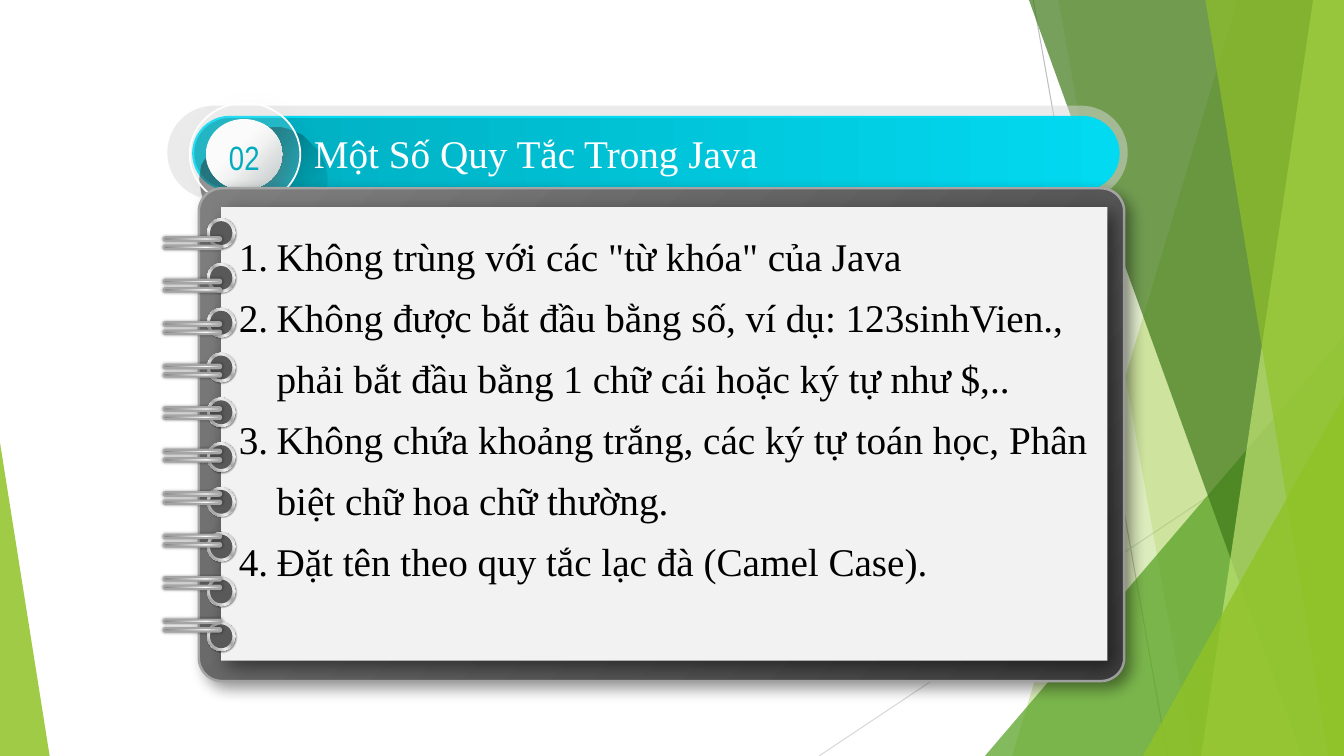
from lxml import etree
from pptx import Presentation
from pptx.dml.color import RGBColor
from pptx.enum import shapes, text
from pptx.oxml.ns import qn
from pptx.util import Pt

C = {
    "white": "FFFFFF", "black": "000000", "lime": "90C226", "green": "54A021",
    "forest": "3F7819", "pale": "C0E474", "teal": "01ACBE", "cyan": "01DAF1",
    "track": "D8D8D8", "paper": "F2F2F2", "hole": "595959", "steel": "A5A5A5",
    "gray": "7F7F7F", "dark": "3F3F3F", "rule": "BFBFBF", "faint": "D9D9D9",
    "pearl": "F7F7F7", "silver": "B8C0C0", "shade": "494949",
}
SERIF = "Times New Roman"
SHAPE = shapes.MSO_SHAPE


def paint(sp, fill, alpha=100, angle=0, line=None, shadow=None):
    """fill: colour name or gradient stops (position, colour, opacity);
    line: (colour, width); shadow: (colour, opacity, blur, distance, direction)."""

    def colour(parent, name, opacity):
        clr = etree.SubElement(parent, qn("a:srgbClr"), val=C[name])
        if opacity < 100:
            etree.SubElement(clr, qn("a:alpha"), val=str(opacity * 1000))

    sp_pr = sp.element.spPr
    if isinstance(fill, str):
        sp.fill.solid()
        sp.fill.fore_color.rgb = RGBColor.from_string(C[fill])
        if alpha < 100:
            clr = sp_pr.find(qn("a:solidFill"))[0]
            etree.SubElement(clr, qn("a:alpha"), val=str(alpha * 1000))
    else:
        sp.fill.gradient()
        grad = sp_pr.find(qn("a:gradFill"))
        grad.set("rotWithShape", "1")
        grad.find(qn("a:lin")).set("ang", str(angle * 60000))
        stops = grad.find(qn("a:gsLst"))
        for old in list(stops):
            stops.remove(old)
        for pos, name, opacity in fill:
            colour(etree.SubElement(stops, qn("a:gs"), pos=str(pos * 1000)), name, opacity)
    if line:
        sp.line.color.rgb = RGBColor.from_string(C[line[0]])
        sp.line.width = Pt(line[1])
    else:
        sp.line.fill.background()
    sp.shadow.inherit = False
    if shadow:
        name, opacity, blur, dist, direction = shadow
        outer = etree.SubElement(
            sp_pr.find(qn("a:effectLst")), qn("a:outerShdw"), blurRad=str(Pt(blur)),
            dist=str(Pt(dist)), dir=str(direction * 60000), rotWithShape="0")
        colour(outer, name, opacity)


def add(kind, x, y, w, h, fill, adj=None, **style):
    sp = s.shapes.add_shape(kind, Pt(x), Pt(y), Pt(w), Pt(h))
    if adj is not None:
        sp.adjustments[0] = adj
    paint(sp, fill, **style)


prs = Presentation()
prs.slide_width, prs.slide_height = Pt(960), Pt(540)
s = prs.slides.add_slide(prs.slide_layouts[5])

# Background lines and green facets
for x1, y1, x2, y2, name in [(738, 0, 834, 540, "rule"), (960, 290, 585, 540, "faint")]:
    ln = s.shapes.add_connector(shapes.MSO_CONNECTOR.STRAIGHT, Pt(x1), Pt(y1), Pt(x2), Pt(y2))
    ln.line.color.rgb = RGBColor.from_string(C[name])
    ln.line.width = Pt(0.75)
    etree.SubElement(ln.element.spPr, qn("a:effectLst"))

# A facet is either (top x, bottom x) up to the right edge, or a triangle's box and apex
facets = [
    ((884, 723), "lime", 30),
    ((756, 852), "lime", 20),
    ((703.5, 240, 256.5, 300, 1), "green", 72),
    ((735, 930), "forest", 70),
    ((938, 858), "pale", 70),
    ((861, 949), "lime", 65),
    ((816.5, 283, 143.5, 257, 1), "lime", 80),
    ((0, 316, 35.5, 224, 0), "lime", 85),
]
for geometry, name, alpha in facets:
    if len(geometry) == 2:
        top, bottom = geometry
        fb = s.shapes.build_freeform(top, 0, scale=Pt(1))
        fb.add_line_segments([(960, 0), (960, 540), (bottom, 540)])
        paint(fb.convert_to_shape(), name, alpha)
    else:
        x, y, w, h, apex = geometry
        add(SHAPE.ISOSCELES_TRIANGLE, x, y, w, h, name, adj=apex, alpha=alpha)

# Title bar
add(SHAPE.ROUNDED_RECTANGLE, 119.5, 75.5, 686, 67, "track", adj=0.5, alpha=50)
add(SHAPE.ROUNDED_RECTANGLE, 138, 83.5, 661, 52, [(0, "teal", 100), (100, "cyan", 100)],
    adj=0.5, line=("cyan", 1.5))

# Long shade cast by the number badge: cubic curves sampled as short segments
curves = [
    ((162.7, 154.1), (148.3, 133.2), (141.8, 109.4), (157, 95)),
    ((157, 95), (171.4, 80.6), (195.1, 86.4), (215.3, 101.5)),
    ((215.3, 101.5), (235.4, 116.6), (236.2, 145.4), (221, 159.8)),
    ((221, 159.8), (206.6, 174.2), (177.1, 174.2), (162.7, 154.1)),
]
outline = []
for curve in curves:
    for t in [i / 12 for i in range(1, 13)]:
        weights = ((1 - t) ** 3, 3 * t * (1 - t) ** 2, 3 * t * t * (1 - t), t ** 3)
        outline.append([sum(k * pt[axis] for k, pt in zip(weights, curve)) for axis in (0, 1)])
fb = s.shapes.build_freeform(*curves[0][0], scale=Pt(1))
fb.add_line_segments(outline)
shade = fb.convert_to_shape()
shade.rotation = 315
fade = [(0, 100), (17, 46), (34, 43), (51, 20), (65, 10), (78, 5), (100, 0)]
paint(shade, [(pos, "black", opacity) for pos, opacity in fade], angle=90)

# Number badge
add(SHAPE.OVAL, 153.5, 92, 46, 42.5,
    [(0, "white", 100), (43, "pearl", 100), (100, "silver", 100)],
    angle=45, shadow=("shade", 30, 11, 7, 45))
add(SHAPE.OVAL, 147, 85, 54.5, 50.5,
    [(0, "white", 100), (39, "white", 100), (53, "pearl", 100), (100, "silver", 100)], angle=45)
add(SHAPE.OVAL, 135.5, 73.5, 79, 73.5, "white", alpha=14,
    line=("white", 1.25), shadow=("black", 11, 17, 7, 45))
number = s.shapes.add_textbox(Pt(152), Pt(94.5), Pt(45), Pt(33))
number.text_frame.text = "02"

title = s.shapes.title
title.left, title.top, title.width, title.height = Pt(217), Pt(88.5), Pt(484), Pt(41)
title.text_frame.text = "Một Số Quy Tắc Trong Java"
s.shapes.element.append(title.element)  # bring in front of the bar

# Notebook: cover, page, holes, wire rings
add(SHAPE.ROUNDED_RECTANGLE, 142, 134.5, 661, 352, [(0, "gray", 100), (100, "dark", 100)],
    adj=0.047, angle=45, line=("steel", 1.75), shadow=("black", 40, 11, 6, 45))
add(SHAPE.RECTANGLE, 158, 148, 633, 324, "paper", shadow=("black", 50, 14, 7, 45))
rim = [(0, "white", 100), (17, "steel", 100), (35, "paper", 100),
       (55, "steel", 100), (75, "paper", 100), (100, "steel", 100)]
for i in range(10):
    y = 166.5 + 32 * i
    add(SHAPE.OVAL, 148, y - 10.5, 20, 21, rim, angle=315, shadow=("black", 40, 1, 1, 45))
    add(SHAPE.OVAL, 150, y - 8.5, 16, 17, "hole")
wire = [(0, "gray", 100), (23, "steel", 100), (52, "track", 100),
        (74, "white", 100), (100, "steel", 100)]
for i in range(10):
    for offset in (6, 0):
        add(SHAPE.ROUNDED_RECTANGLE, 117, 169.5 + 30.35 * i + offset, 41, 2.5, wire, adj=0.5,
            line=("steel", 1.5), shadow=("black", 40, 2, 0, 0))

# Naming rules
rules = s.shapes.add_textbox(Pt(163.5), Pt(152), Pt(656), Pt(360))
rules.text_frame.text = "\n".join([
    'Không trùng với các "từ khóa" của Java',
    "Không được bắt đầu bằng số, ví dụ: 123sinhVien., phải bắt đầu bằng 1 chữ cái hoặc ký tự như $,..",
    "Không chứa khoảng trắng, các ký tự toán học, Phân biệt chữ hoa chữ thường.",
    "Đặt tên theo quy tắc lạc đà (Camel Case).",
])
for p in rules.text_frame.paragraphs:
    p_pr = p._p.get_or_add_pPr()
    p_pr.set("marL", str(Pt(27)))
    p_pr.set("indent", str(Pt(-27)))
    bullet = etree.SubElement(p_pr, qn("a:buClr"))
    etree.SubElement(bullet, qn("a:srgbClr"), val=C["black"])
    etree.SubElement(p_pr, qn("a:buAutoNum"), type="arabicPeriod")
    p.line_spacing = 1.3

LEFT, CENTER = text.PP_ALIGN.LEFT, text.PP_ALIGN.CENTER
for sp, font, size, name, align in [
    (number, "Arial Narrow", 24, "teal", CENTER),
    (title, SERIF, 28, "white", LEFT),
    (rules, SERIF, 28, "black", LEFT),
]:
    tf = sp.text_frame
    tf.word_wrap = True
    tf.auto_size = text.MSO_AUTO_SIZE.NONE
    tf.vertical_anchor = text.MSO_ANCHOR.TOP
    for p in tf.paragraphs:
        p.alignment = align
        for r in p.runs:
            r.font.name = font
            r.font.size = Pt(size)
            r.font.color.rgb = RGBColor.from_string(C[name])

prs.save("out.pptx")
